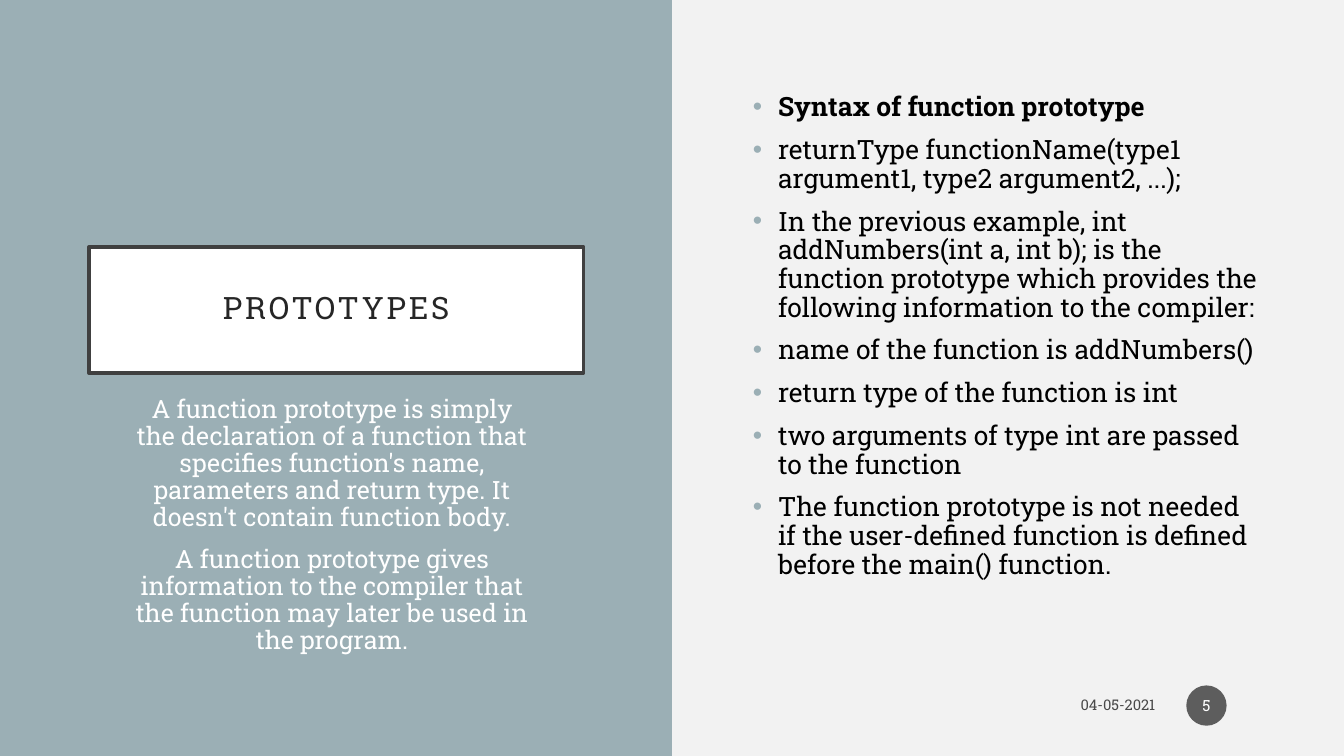
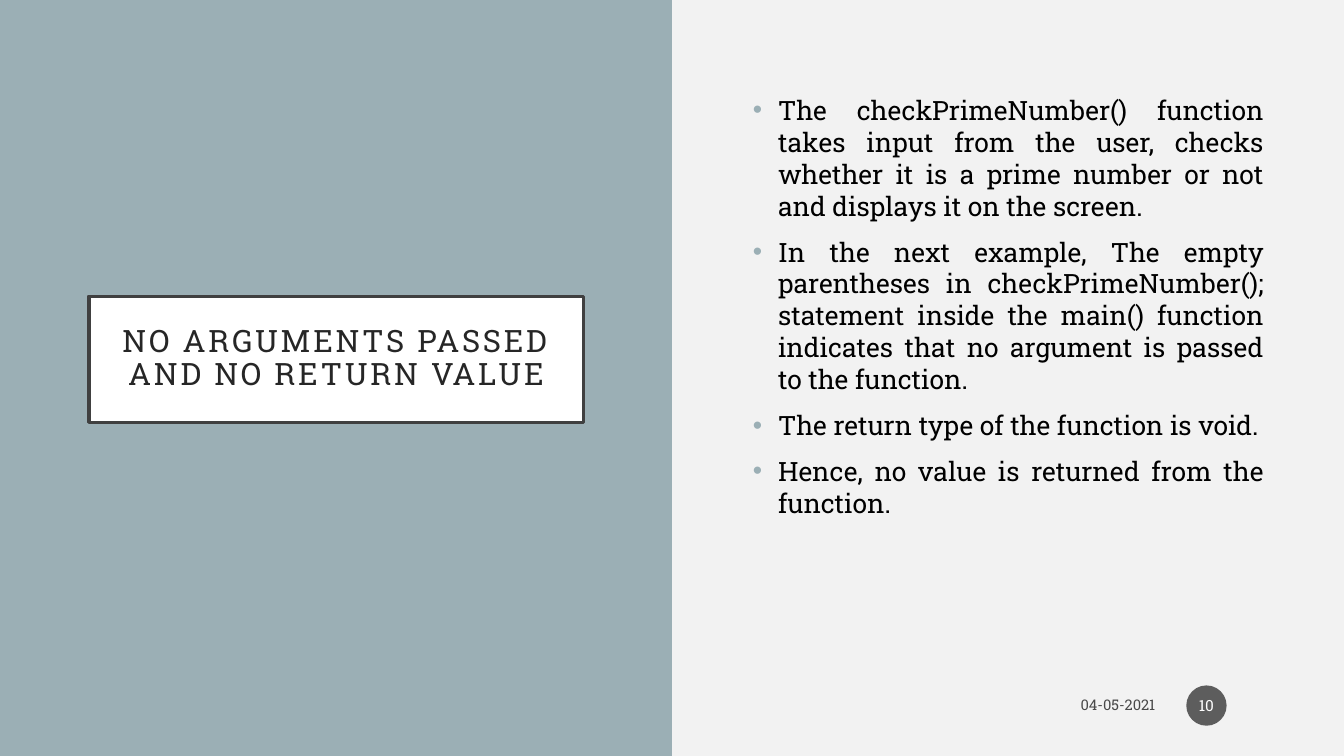
import lxml.etree
import pptx
import pptx.dml.color
import pptx.enum.shapes
import pptx.enum.text
import pptx.oxml.ns
import pptx.util

Pt = pptx.util.Pt
ALIGN = pptx.enum.text.PP_ALIGN
ANCHOR = pptx.enum.text.MSO_ANCHOR
SHAPE = pptx.enum.shapes.MSO_SHAPE
qn = pptx.oxml.ns.qn
COLORS = {
    "paper": "F2F2F2",
    "accent": "9BAFB5",
    "white": "FFFFFF",
    "frame": "404040",
    "title": "262626",
    "black": "000000",
    "date": "494949",
    "badge": "5D5D5D",
}


def rgb(name):
    return pptx.dml.color.RGBColor.from_string(COLORS[name])


def write(shape, paragraphs, size, color, align=ALIGN.LEFT, anchor=ANCHOR.TOP,
          insets=(7.2, 3.6), line_spacing=1.0, gap=0, tracking=0,
          bullets=False, bold_first=False):
    frame = shape.text_frame
    frame.word_wrap = True
    frame.auto_size = pptx.enum.text.MSO_AUTO_SIZE.NONE
    frame.vertical_anchor = anchor
    frame.margin_left = frame.margin_right = Pt(insets[0])
    frame.margin_top = frame.margin_bottom = Pt(insets[1])
    for index, text in enumerate(paragraphs):
        paragraph = frame.add_paragraph() if index else frame.paragraphs[0]
        paragraph.alignment = align
        paragraph.line_spacing = line_spacing
        paragraph.space_before = Pt(gap if index else 0)
        if bullets:
            properties = paragraph._p.get_or_add_pPr()
            properties.set("marL", str(Pt(18)))
            properties.set("indent", str(-Pt(18)))
            bullet_color = lxml.etree.SubElement(properties, qn("a:buClr"))
            lxml.etree.SubElement(bullet_color, qn("a:srgbClr"), val=COLORS["accent"])
            lxml.etree.SubElement(properties, qn("a:buFont"), typeface="Arial")
            lxml.etree.SubElement(properties, qn("a:buChar"), char="•")
        run = paragraph.add_run()
        run.text = text
        run.font.name = "Roboto Slab"
        run.font.size = Pt(size)
        run.font.bold = bold_first and index == 0
        run.font.color.rgb = rgb(color)
        if tracking:
            run._r.get_or_add_rPr().set("spc", str(tracking * 100))


topics = [
    {
        "layout": 7,
        "number": "5",
        "title": "PROTOTYPES",
        "title_top": 176.4,
        "caption": [
            "A function prototype is simply the declaration of a function that specifies function's name, parameters and return type. It doesn't contain function body.",
            "A function prototype gives information to the compiler that the function may later be used in the program.",
        ],
        "points": [
            "Syntax of function prototype",
            "returnType functionName(type1 argument1, type2 argument2, ...);",
            "In the previous example, int addNumbers(int a, int b); is the function prototype which provides the following information to the compiler:",
            "name of the function is addNumbers()",
            "return type of the function is int",
            "two arguments of type int are passed to the function",
            "The function prototype is not needed if the user-defined function is defined before the main() function.",
        ],
        "points_height": 413.3,
        "points_format": {"line_spacing": 0.9, "bold_first": True},
    },
    {
        "layout": 1,
        "number": "10",
        "title": "NO ARGUMENTS PASSED AND NO RETURN VALUE",
        "title_top": 211.7,
        "caption": [],
        "points": [
            "The checkPrimeNumber() function takes input from the user, checks whether it is a prime number or not and displays it on the screen.",
            "In the next example, The empty parentheses in checkPrimeNumber(); statement inside the main() function indicates that no argument is passed to the function.",
            "The return type of the function is void.",
            "Hence, no value is returned from the function.",
        ],
        "points_height": 370,
        "points_format": {"align": ALIGN.JUSTIFY},
    },
]

deck = pptx.Presentation()
deck.slide_width = Pt(960)
deck.slide_height = Pt(540)
backdrop = deck.slide_master.background.fill
backdrop.solid()
backdrop.fore_color.rgb = rgb("paper")

for topic in topics:
    slide = deck.slides.add_slide(deck.slide_layouts[topic["layout"]])

    band = slide.shapes.add_shape(SHAPE.RECTANGLE, 0, 0, Pt(480), Pt(540))
    band.shadow.inherit = False
    band.fill.solid()
    band.fill.fore_color.rgb = rgb("accent")
    band.line.fill.background()
    slide.shapes._spTree.insert(2, band._element)

    title = slide.shapes.title
    title.left, title.top = Pt(63.4), Pt(topic["title_top"])
    title.width, title.height = Pt(353.5), Pt(90)
    title.fill.solid()
    title.fill.fore_color.rgb = rgb("white")
    title.line.color.rgb = rgb("frame")
    title.line.width = Pt(2.5)
    write(title, [topic["title"]], 22, "title", align=ALIGN.CENTER,
          anchor=ANCHOR.MIDDLE, insets=(14.4, 14.4), line_spacing=0.9, tracking=2)

    if topic["caption"]:
        caption = slide.placeholders[2]
        caption.left, caption.top = Pt(87.8), Pt(279.4)
        caption.width, caption.height = Pt(298.8), Pt(202.3)
        write(caption, topic["caption"], 18, "white", align=ALIGN.CENTER,
              line_spacing=0.9, gap=10)

    points = slide.placeholders[1]
    points.left, points.top = Pt(530.6), Pt(63.4)
    points.width, points.height = Pt(379.4), Pt(topic["points_height"])
    write(points, topic["points"], 19, "black", gap=10, bullets=True,
          **topic["points_format"])

    date = slide.shapes.add_textbox(Pt(615.6), Pt(491), Pt(216.7), Pt(25.2))
    write(date, ["04-05-2021"], 10.5, "date", align=ALIGN.RIGHT, anchor=ANCHOR.MIDDLE)

    badge = slide.shapes.add_shape(SHAPE.OVAL, Pt(847.4), Pt(489.6), Pt(28.8), Pt(28.8))
    badge.shadow.inherit = False
    badge.fill.solid()
    badge.fill.fore_color.rgb = rgb("badge")
    badge.line.fill.background()
    write(badge, [topic["number"]], 11, "white", align=ALIGN.CENTER,
          anchor=ANCHOR.MIDDLE, insets=(1.4, 3.6))

deck.save("out.pptx")
